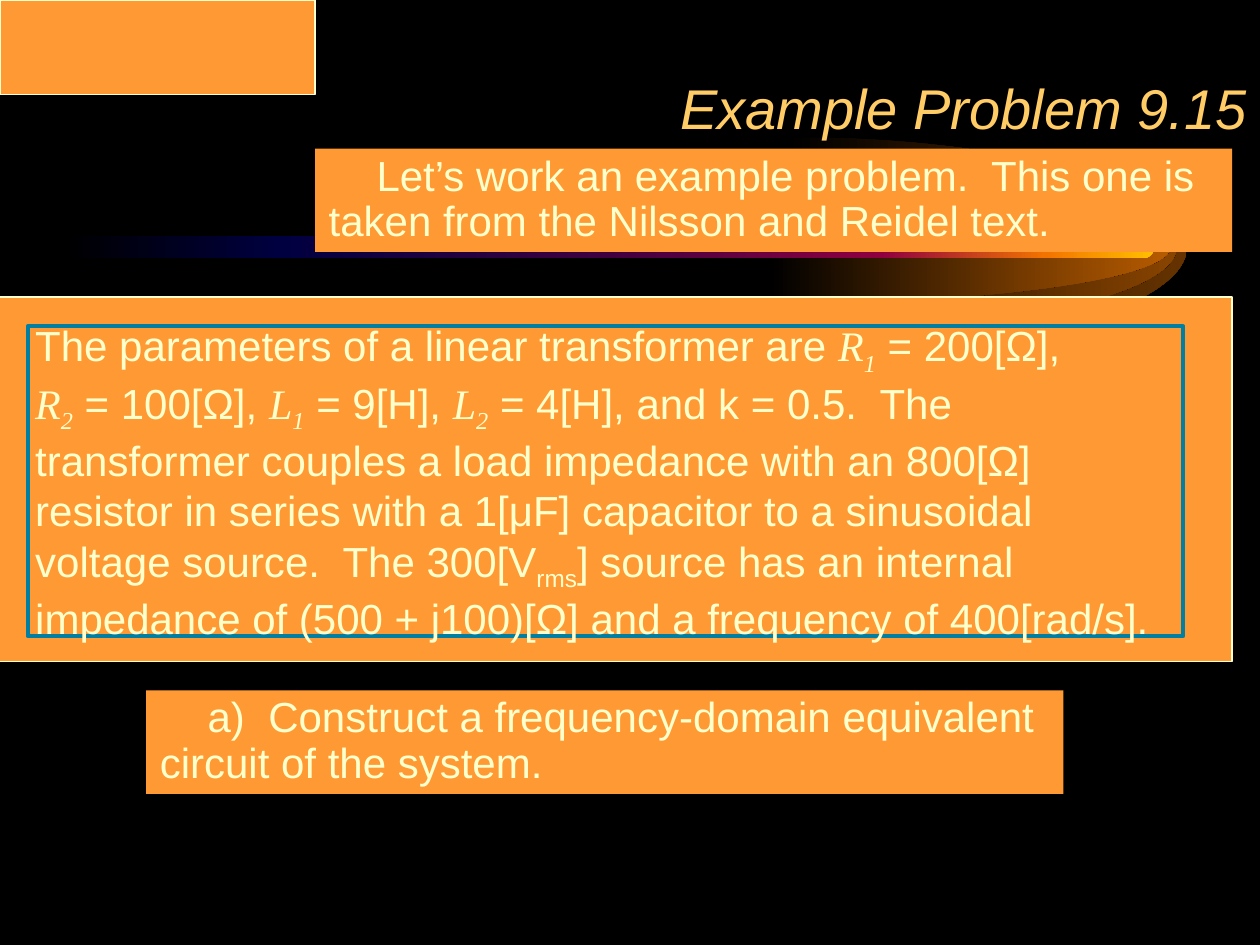
from lxml.etree import SubElement as Sub
from pptx import Presentation
from pptx.dml.color import RGBColor as Rgb
from pptx.enum.shapes import MSO_SHAPE as Kind
from pptx.enum.text import MSO_ANCHOR as Anchor, MSO_AUTO_SIZE as Auto, PP_ALIGN as Align
from pptx.oxml.ns import qn
from pptx.util import Inches, Pt

ORANGE, CREAM, GOLD, TEAL = "FF9933", "FFFFCC", "FFCC66", "007FA3"
SANS, SERIF = "Arial", "Times New Roman"


def color(text):
    return Rgb.from_string(text)


class Board:
    """Holds the deck style and the current slide."""

    def __init__(self, deck):
        self.slide = deck.slides.add_slide(deck.slide_layouts[5])
        self.shapes = self.slide.shapes
        back = self.slide.background.fill
        back.solid()
        back.fore_color.rgb = color("000000")

    def paint(self, shape, fill=None, line=None, width=1):
        shape.shadow.inherit = False
        if fill:
            shape.fill.solid()
            shape.fill.fore_color.rgb = color(fill)
        else:
            shape.fill.background()
        if line:
            shape.line.color.rgb = color(line)
            shape.line.width = Pt(width)
        else:
            shape.line.fill.background()

    def blend(self, shape, stops):
        self.paint(shape)
        shape.fill.gradient()
        shape.fill.gradient_angle = 0
        group = next(shape.element.iter(qn("a:gsLst")))
        for old in list(group):
            group.remove(old)
        for spot, tone in stops:
            stop = Sub(group, qn("a:gs"), pos=str(spot * 1000))
            Sub(stop, qn("a:srgbClr"), val=tone)

    def box(self, place, kind=Kind.RECTANGLE, **look):
        shape = self.shapes.add_shape(kind, *map(Inches, place))
        self.paint(shape, **look)
        return shape

    def glow(self, left, high, tone):
        """Half an ellipse that fades in from the left."""
        wide, mid, heel, bend = 3.13, 1.96, 0.05, 0.55
        right, top, foot = left + wide, mid - high, mid + high
        spots = [(right, mid), (left, foot), (left - heel, foot)]
        pen = self.shapes.build_freeform(Inches(left), Inches(top))
        pen.add_line_segments([tuple(map(Inches, spot)) for spot in spots], close=True)
        shape = pen.convert_to_shape()

        # Bend the first two sides into quarter arcs
        sides = list(shape.element.iter(qn("a:lnTo")))[:2]
        guides = [((left + bend * wide, top), (right, mid - bend * high)),
                  ((right, mid + bend * high), (left + bend * wide, foot))]
        for side, pair in zip(sides, guides):
            side.tag = qn("a:cubicBezTo")
            for n, (x, y) in enumerate(pair):
                knot = Sub(side, qn("a:pt"), x=str(Inches(x) - shape.left),
                           y=str(Inches(y) - shape.top))
                side.insert(n, knot)
        self.blend(shape, [(0, "000000"), (100, tone)])

    def frame(self, shape, anchor, side=0.1, edge=0.05):
        frame = shape.text_frame
        look = dict(word_wrap=True, auto_size=Auto.NONE, vertical_anchor=anchor,
                    margin_left=Inches(side), margin_right=Inches(side),
                    margin_top=Inches(edge), margin_bottom=Inches(edge))
        for name, value in look.items():
            setattr(frame, name, value)
        return frame.paragraphs[0]

    def run(self, para, text, font=SANS, size=24, tone=CREAM, slant=False, low=False):
        run = para.add_run()
        run.text = text
        for name, value in dict(name=font, size=Pt(size), italic=slant).items():
            setattr(run.font, name, value)
        run.font.color.rgb = color(tone)
        if low:
            run.font._element.set("baseline", "-25000")

    def title(self, text):
        shape = self.shapes.title
        shape.element.getparent().append(shape.element)  # in front of the panel
        place = dict(left=2.5, top=0, width=7.5, height=1.17)
        for name, value in place.items():
            setattr(shape, name, Inches(value))
        para = self.frame(shape, Anchor.BOTTOM)
        para.alignment = Align.RIGHT
        self.run(para, text, size=32, tone=GOLD, slant=True)

    def note(self, left, top, text):
        para = self.frame(self.box((left, top, 7.28, 0.82), fill=ORANGE), Anchor.TOP)
        para.alignment = Align.LEFT
        para.line_spacing = 0.9
        props = para._p.get_or_add_pPr()
        props.set("marL", str(Inches(0.01)))
        props.set("indent", str(Inches(0.38)))
        self.run(para, text)

    def task(self, place, parts):
        """Parts are plain strings, breaks (None) or (symbol, subscript) pairs."""
        shape = self.box(place, line=TEAL, width=2.25)
        para = self.frame(shape, Anchor.MIDDLE, 0.06, 0.02)
        para.alignment = Align.LEFT
        for part in parts:
            if part is None:
                para.add_line_break()
            elif isinstance(part, str):
                self.run(para, part)
            else:
                name, sub = part
                math = dict(font=SERIF, slant=True) if sub.isdigit() else {}
                self.run(para, name, **math)
                self.run(para, sub, low=True, **math)


def main():
    deck = Presentation()
    deck.slide_width, deck.slide_height = Inches(10), Inches(7.5)
    board = Board(deck)

    # Backdrop: corner block, comet glow and its tail
    board.box((0, 0, 2.5, 0.75), fill=ORANGE, line=CREAM)
    for left, high, tone in ((6.29, 0.87, "663300"), (6.21, 0.69, "894400"),
                             (6.16, 0.45, "B75B00")):
        board.glow(left, high, tone)
    tail = board.box((0.5, 1.87, 8.66, 0.18), Kind.ROUNDED_RECTANGLE)
    tail.adjustments[0] = 0.5
    board.blend(tail, [(0, "000000"), (20, "000040"), (50, "400040"),
                       (75, "8F0040"), (90, "F27300"), (100, "FFBF00")])

    # Title and problem statement
    board.box((-0.04, 2.36, 9.82, 2.89), fill=ORANGE, line=CREAM)
    board.title("Example Problem 9.15")
    board.task((0.22, 2.59, 9.17, 2.46), [
        "The parameters of a linear transformer are ", ("R", "1"), " = 200[Ω], ", None,
        ("R", "2"), " = 100[Ω], ", ("L", "1"), " = 9[H], ", ("L", "2"),
        " = 4[H], and k = 0.5.  The transformer couples a load impedance with an 800[Ω] "
        "resistor in series with a 1[μF] capacitor to a sinusoidal voltage source.  The 300[",
        ("V", "rms"),
        "] source has an internal impedance of (500 + j100)[Ω] "
        "and a frequency of 400[rad/s]."])

    # Notes above and below
    board.note(2.5, 1.18, "Let’s work an example problem.  This one is taken from "
                          "the Nilsson and Reidel text.")
    board.note(1.16, 5.48, "a)  Construct a frequency-domain equivalent circuit of the system.")

    deck.save("out.pptx")


if __name__ == "__main__":
    main()
